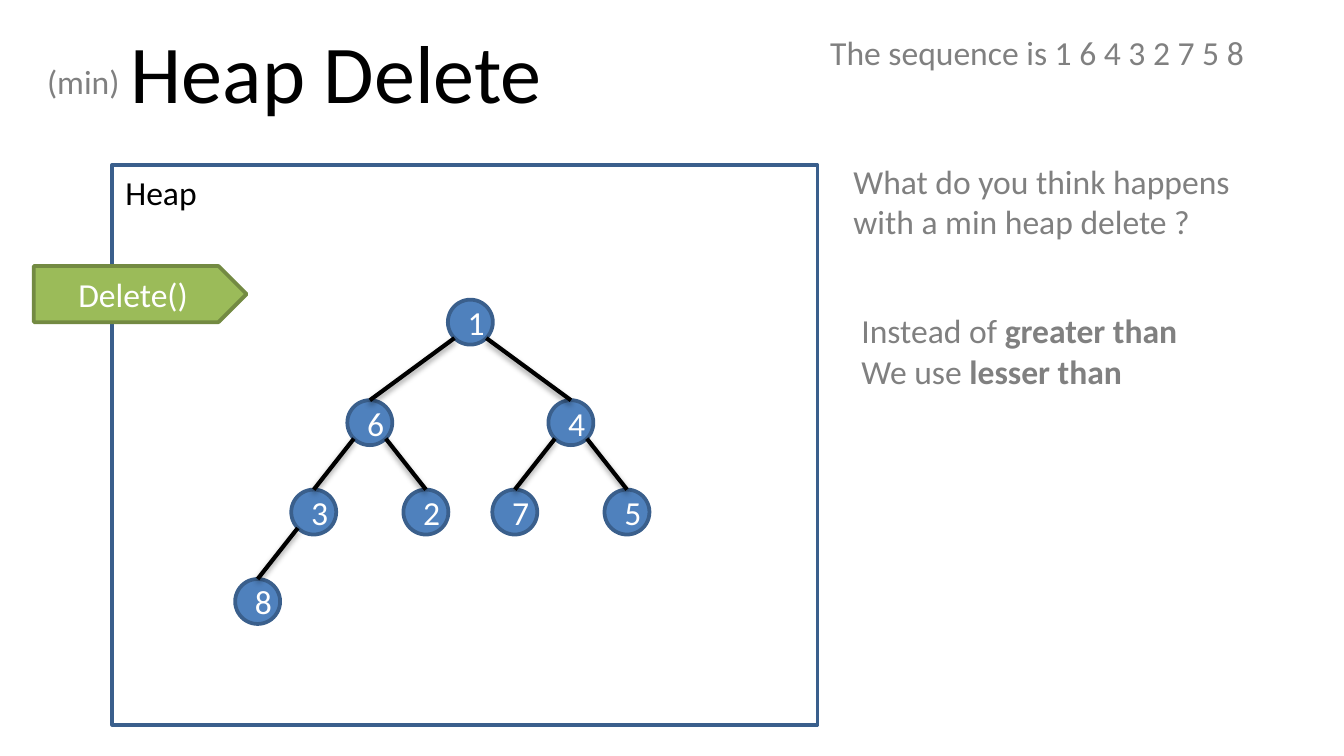
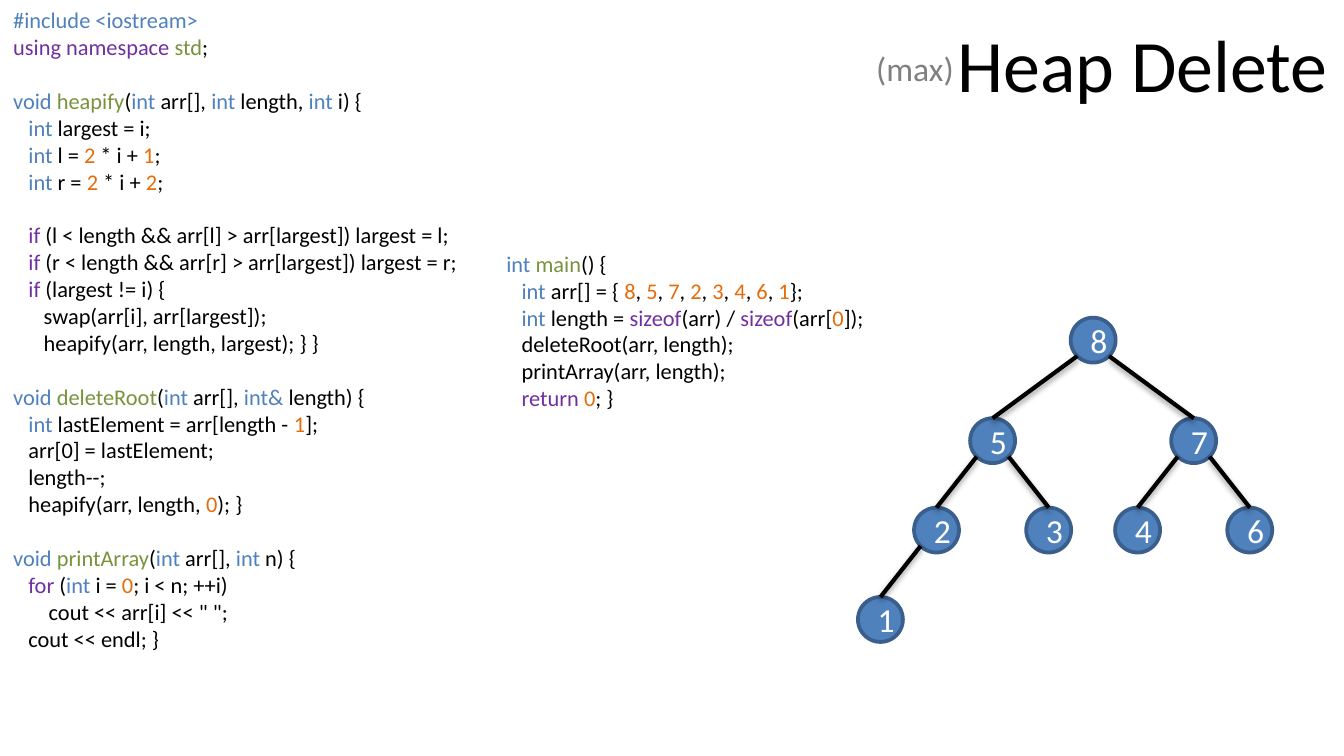
from lxml import etree
from pptx import Presentation
from pptx.dml.color import RGBColor
from pptx.enum.shapes import MSO_CONNECTOR, MSO_SHAPE
from pptx.enum.text import MSO_ANCHOR, PP_ALIGN
from pptx.oxml import parse_xml
from pptx.util import Cm, Pt

BLACK = RGBColor(0x00, 0x00, 0x00)
WHITE = RGBColor(0xFF, 0xFF, 0xFF)
GREY = RGBColor(0x80, 0x80, 0x80)
BLUE = RGBColor(0x4F, 0x81, 0xBD)
BLUE_EDGE = RGBColor(0x3A, 0x5F, 0x8C)
GREEN = RGBColor(0x9B, 0xBB, 0x59)
GREEN_EDGE = RGBColor(0x73, 0x8A, 0x42)
PURPLE = RGBColor(0x70, 0x30, 0xA0)
OLIVE = RGBColor(0x77, 0x93, 0x3C)
ORANGE = RGBColor(0xE4, 0x6C, 0x0A)
FONT = "Calibri"

# Content. Text between bars is marked by its first letter: a colour, or * for bold.
MARKS = {"B": BLUE, "P": PURPLE, "G": OLIVE, "N": ORANGE}
TITLE = "Heap Delete"
MIN_HEAP = [1, 6, 4, 3, 2, 7, 5, 8]
MAX_HEAP = [8, 5, 7, 2, 3, 4, 6, 1]

# Grey notes: text, left, top, width, height in cm
MIN_NOTES = [
    ("(min)", 0.64, 1.02, 2.11, 1.02),
    ("The sequence is 1 6 4 3 2 7 5 8", 15.44, 0.48, 8.53, 1.02),
    ("What do you think happens with a min heap delete ?", 15.88, 2.92, 8.53, 1.8),
    ("Instead of |*greater than|\nWe use |*lesser than|", 16.03, 5.74, 8.53, 1.8),
]
MAX_NOTES = [("(max)", 16.31, 0.79, 2.11, 1.02)]

HEAP_CODE = [
    """|B#include <iostream>|
|Pusing namespace ||Gstd|;""",
    """|Bvoid ||Gheapify|(|Bint |arr[], |Bint| length, |Bint |i) {
   |Bint| largest = i;
   |Bint| l = |N2| * i + |N1|;
   |Bint| r = |N2| * i + |N2|;""",
    """   |Pif| (l < length && arr[l] > arr[largest]) largest = l;
   |Pif| (r < length && arr[r] > arr[largest]) largest = r;
   |Pif| (largest != i) {
      swap(arr[i], arr[largest]);
      heapify(arr, length, largest); } }""",
    """|Bvoid ||GdeleteRoot|(|Bint |arr[], |Bint& |length) {
   |Bint |lastElement = arr[length - |N1|];
   arr[0] = lastElement;
   length--;
   heapify(arr, length, |N0|); }""",
    """|Bvoid ||GprintArray|(|Bint |arr[], |Bint| n) {
   |Pfor| (|Bint |i = |N0|; i < n; ++i)
       cout << arr[i] << " ";
   cout << endl; }""",
]
MAIN_CODE = [
    """|Bint ||Gmain|() {
   |Bint |arr[] = { |N8|, |N5|, |N7|, |N2|, |N3|, |N4|, |N6|, |N1|};
   |Bint| length = |Psizeof|(arr) / |Psizeof|(arr[|N0|]);
   deleteRoot(arr, length);
   printArray(arr, length);
   |Preturn ||N0|; }""",
]

# Tree geometry in cm: sideways and downward step for each level below the root
NODE_SIZE = 0.85
STEPS = [(1.9, 1.9), (1.06, 1.69), (1.06, 1.69)]
SPACE_WIDTH = 0.096
CODE_LINE = Pt(14.4)

SHADOW = """<a:effectLst xmlns:a="http://schemas.openxmlformats.org/drawingml/2006/main">
<a:outerShdw blurRad="40000" dist="20000" dir="5400000" rotWithShape="0">
<a:srgbClr val="000000"><a:alpha val="38000"/></a:srgbClr></a:outerShdw></a:effectLst>"""


def write(box, blocks, size=18, color=BLACK, align=PP_ALIGN.LEFT, anchor=MSO_ANCHOR.TOP):
    """Fill a box with blocks of marked lines, one line height apart."""
    frame = box.text_frame
    frame.word_wrap = True
    frame.vertical_anchor = anchor
    para = None
    for block in blocks:
        for number, line in enumerate(block.split("\n")):
            first = para is None
            para = frame.paragraphs[0] if first else frame.add_paragraph()
            para.alignment = align
            if number == 0 and not first:
                para.space_before = CODE_LINE
            text = line.lstrip(" ")
            indent = len(line) - len(text)
            if indent:
                properties = para._p.get_or_add_pPr()
                properties.set("marL", str(int(Cm(indent * SPACE_WIDTH))))
                properties.set("indent", "0")
            for place, part in enumerate(text.split("|")):
                if not part:
                    continue
                marked = place % 2 == 1
                span = para.add_run()
                span.text = part[1:] if marked else part
                span.font.name = FONT
                span.font.size = Pt(size)
                span.font.bold = marked and part[0] == "*"
                span.font.color.rgb = MARKS.get(part[0], color) if marked else color


def add_text(page, blocks, left, top, width, height, **style):
    box = page.shapes.add_textbox(Cm(left), Cm(top), Cm(width), Cm(height))
    write(box, blocks, **style)


def add_box(page, kind, text, left, top, width, height, fill, edge, **style):
    box = page.shapes.add_shape(kind, Cm(left), Cm(top), Cm(width), Cm(height))
    box.shadow.inherit = False
    if fill is None:
        box.fill.background()
    else:
        box.fill.solid()
        box.fill.fore_color.rgb = fill
    box.line.color.rgb = edge
    box.line.width = Pt(2)
    write(box, [text], **style)


CENTERED = dict(align=PP_ALIGN.CENTER, anchor=MSO_ANCHOR.MIDDLE)


def add_tree(page, values, root_x, root_y):
    """Place each node under its parent; the heap index gives the parent."""
    radius = NODE_SIZE / 2
    corner = radius * 0.71
    centers = []
    for index, value in enumerate(values):
        x, y = root_x, root_y
        if index:
            parent_x, parent_y = centers[(index - 1) // 2]
            across, down = STEPS[(index + 1).bit_length() - 2]
            side = -1 if index % 2 else 1
            x, y = parent_x + side * across, parent_y + down
        centers.append((x, y))
        add_box(page, MSO_SHAPE.OVAL, str(value), x - radius, y - radius,
                NODE_SIZE, NODE_SIZE, BLUE, BLUE_EDGE, color=WHITE, **CENTERED)
        if index:
            edge = page.shapes.add_connector(
                MSO_CONNECTOR.STRAIGHT, Cm(x), Cm(y - radius),
                Cm(parent_x + side * corner), Cm(parent_y + corner))
            edge.line.color.rgb = BLACK
            edge.line.width = Pt(2.25)
            edge._element.spPr.append(parse_xml(SHADOW))


def add_page(deck, notes, title_left, title_top, title_width, title_size):
    page = deck.slides.add_slide(deck.slide_layouts[6])
    add_text(page, [TITLE], title_left, title_top, title_width, 2.39,
             size=title_size, **CENTERED)
    for text, *place in notes:
        add_text(page, [text], *place, color=GREY)
    return page


deck = Presentation()
deck.slide_width, deck.slide_height = Cm(25.4), Cm(14.29)

# Min heap
page = add_page(deck, MIN_NOTES, 1.7, 0.15, 9.32, 44)
add_box(page, MSO_SHAPE.RECTANGLE, "Heap", 2.12, 3.12, 13.33, 10.58, None, BLUE_EDGE)
add_box(page, MSO_SHAPE.PENTAGON, "Delete()", 0.64, 5.03, 4.02, 1.06,
        GREEN, GREEN_EDGE, color=WHITE, **CENTERED)
add_tree(page, MIN_HEAP, 8.89, 6.09)

# Max heap with its code
page = add_page(deck, MAX_NOTES, 17.78, 0, 7.62, 39.6)
add_text(page, HEAP_CODE, 0, 0, 9.73, 12.57, size=12)
add_tree(page, MAX_HEAP, 20.66, 6.43)
add_text(page, MAIN_CODE, 9.32, 4.6, 7.6, 3.33, size=12)

deck.save("out.pptx")
